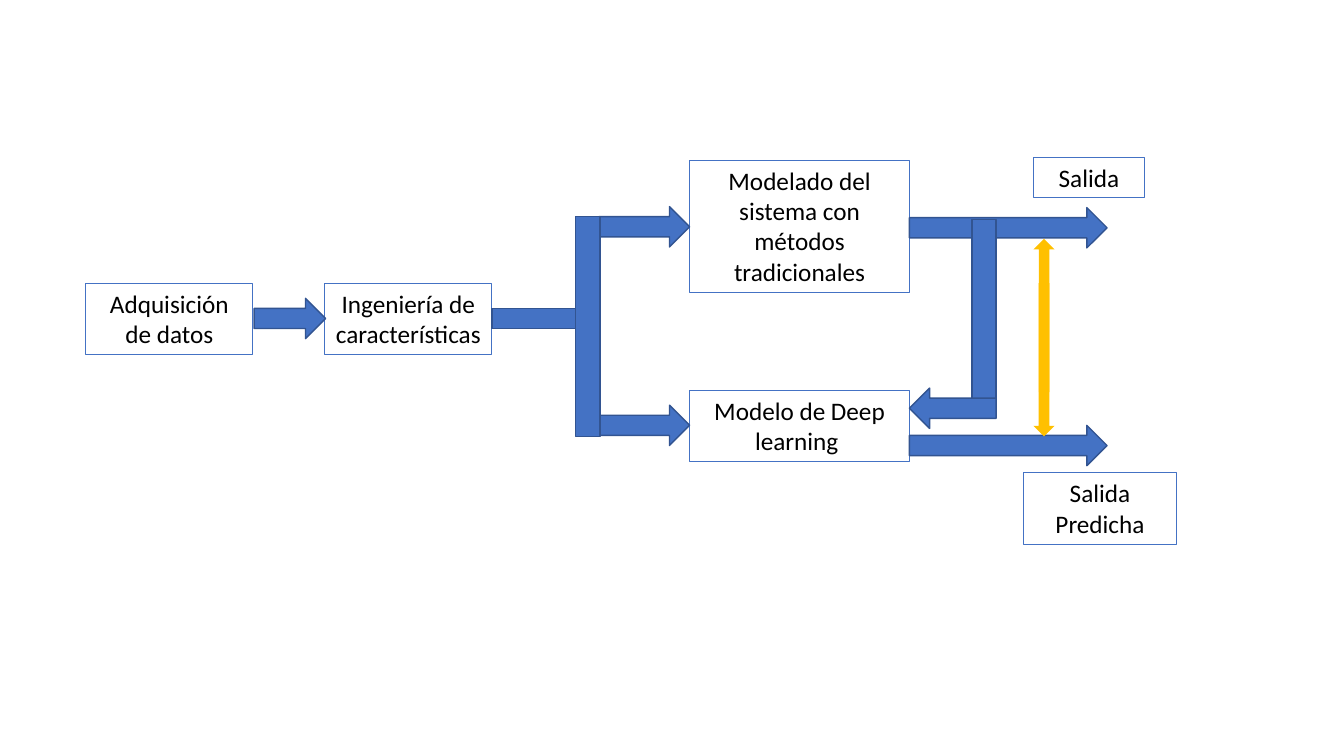
"""Build a flow diagram that compares traditional modelling with deep learning."""
from pptx import Presentation
from pptx.dml.color import RGBColor
from pptx.enum.shapes import MSO_SHAPE
from pptx.enum.text import MSO_ANCHOR, MSO_AUTO_SIZE, PP_ALIGN
from pptx.util import Inches, Pt

BLUE = RGBColor(0x44, 0x72, 0xC4)
DARK_BLUE = RGBColor(0x32, 0x54, 0x91)
AMBER = RGBColor(0xFF, 0xC0, 0x00)
BLACK = RGBColor(0x00, 0x00, 0x00)

BAR = MSO_SHAPE.RECTANGLE
RIGHT_ARROW = MSO_SHAPE.RIGHT_ARROW
DOWN_ARROW = MSO_SHAPE.DOWN_ARROW

FRAME_FORMAT = {
    "word_wrap": True,
    "auto_size": MSO_AUTO_SIZE.SHAPE_TO_FIT_TEXT,
    "vertical_anchor": MSO_ANCHOR.TOP,
}
FONT_FORMAT = {"name": "Calibri", "size": Pt(18)}

ARROW_HEIGHT = 0.4
MODEL_LEFT, MODEL_WIDTH = 6.84, 2.18
MODEL_RIGHT = MODEL_LEFT + MODEL_WIDTH
STEP_WIDTH, TWO_LINES = 1.66, 0.71
BRANCH_LEFT, BRANCH_WIDTH = 5.94, 0.9
OUTPUT_WIDTH = 1.96
BAR_WIDTH = 0.24

BOXES = [
    ("Adquisición de datos", 0.85, 2.81, STEP_WIDTH, TWO_LINES),
    ("Ingeniería de características", 3.22, 2.81, STEP_WIDTH, TWO_LINES),
    ("Modelado del sistema con métodos tradicionales",
     MODEL_LEFT, 1.59, MODEL_WIDTH, 1.31),
    ("Modelo de Deep learning ", MODEL_LEFT, 3.87, MODEL_WIDTH, TWO_LINES),
    ("Salida", 10.25, 1.56, 1.1, 0.4),
    ("Salida Predicha", 10.15, 4.69, 1.52, TWO_LINES),
]

FLOWS = [
    (RIGHT_ARROW, BRANCH_LEFT, 2.05, BRANCH_WIDTH, ARROW_HEIGHT, 0),
    (RIGHT_ARROW, BRANCH_LEFT, 4.02, BRANCH_WIDTH, ARROW_HEIGHT, 0),
    (BAR, 5.71, 2.15, BAR_WIDTH, 2.18, 0),
    (RIGHT_ARROW, MODEL_RIGHT, 2.06, OUTPUT_WIDTH, ARROW_HEIGHT, 0),
    (RIGHT_ARROW, MODEL_RIGHT, 4.22, OUTPUT_WIDTH, ARROW_HEIGHT, 0),
    (BAR, 9.64, 2.18, BAR_WIDTH, 1.85, 0),
    (RIGHT_ARROW, MODEL_RIGHT, 3.85, 0.86, ARROW_HEIGHT, 180),
    (RIGHT_ARROW, 2.52, 2.96, 0.71, ARROW_HEIGHT, 0),
    (BAR, 4.88, 3.06, 0.83, 0.2, 0),
]

COMPARISONS = [
    (DOWN_ARROW, 10.25, 2.81, 0.21, 1.52, 0),
    (DOWN_ARROW, 10.25, 2.37, 0.21, 1.52, 180),
]


def apply_format(target, values):
    """Set each named attribute on the target."""
    for name, value in values.items():
        setattr(target, name, value)


def add_text_box(page, text, *place):
    """Add an outlined box with centred text."""
    box = page.shapes.add_textbox(*map(Inches, place))
    box.line.color.rgb = BLUE
    box.line.width = Pt(0.75)
    apply_format(box.text_frame, FRAME_FORMAT)
    para = box.text_frame.paragraphs[0]
    para.alignment = PP_ALIGN.CENTER
    span = para.add_run()
    span.text = text
    apply_format(span.font, FONT_FORMAT)
    span.font.color.rgb = BLACK


def add_block(page, kind, left, top, width, height, rotation, fill, outline=None):
    """Add a filled arrow or bar, with an outline if a colour is given."""
    block = page.shapes.add_shape(kind, *map(Inches, (left, top, width, height)))
    block.shadow.inherit = False
    block.rotation = rotation
    block.fill.solid()
    block.fill.fore_color.rgb = fill
    if outline is None:
        block.line.fill.background()
    else:
        block.line.color.rgb = outline
        block.line.width = Pt(1)


def main():
    """Build the slide and save the deck."""
    deck = Presentation()
    deck.slide_width, deck.slide_height = Inches(13.33), Inches(7.5)
    page = deck.slides.add_slide(deck.slide_layouts[6])
    for box in BOXES:
        add_text_box(page, *box)
    for flow in FLOWS:
        add_block(page, *flow, BLUE, DARK_BLUE)
    for comparison in COMPARISONS:
        add_block(page, *comparison, AMBER)
    deck.save("out.pptx")


if __name__ == "__main__":
    main()
